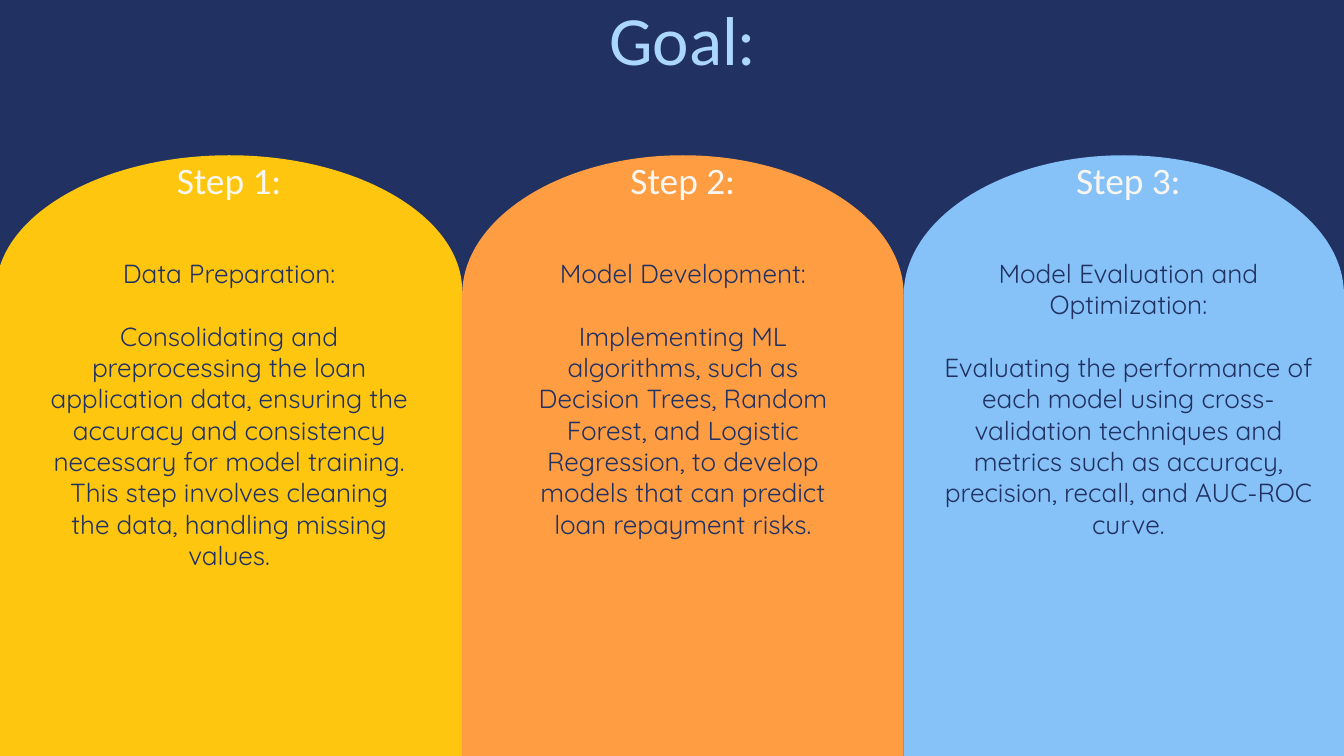
from lxml.etree import Element
from pptx import Presentation
from pptx.dml.color import RGBColor as Color
from pptx.enum.text import PP_ALIGN as Align
from pptx.oxml.ns import qn
from pptx.util import Cm, Pt

COLORS = {
    "navy": "203162",
    "yellow": "FFC610",
    "orange": "FF9D42",
    "sky": "86C2F8",
    "cream": "F8F6F1",
    "pale": "ABD7FF",
}
WIDTH, HEIGHT = 50.8, 28.58
ARCH_TOP = 5.87
ROUNDNESS = 0.55
TITLE = "Goal:"
STEPS = [
    {
        "heading": "Step 1:",
        "body": [
            "Data Preparation:",
            "Consolidating and preprocessing the loan application data, ensuring "
            "the accuracy and consistency necessary for model training.",
            "This step involves cleaning the data, handling missing values.",
        ],
        "color": "yellow", "edges": (-0.15, 17.47), "rise": 5.13,
        "center": 8.66, "body_width": 13.64, "body_height": 12.83,
    },
    {
        "heading": "Step 2:",
        "body": [
            "Model Development:",
            "Implementing ML algorithms, such as Decision Trees, Random Forest, "
            "and Logistic Regression, to develop models that can predict loan "
            "repayment risks.",
        ],
        "color": "orange", "edges": (17.47, 34.16), "rise": 5.28,
        "center": 25.81, "body_width": 11.35, "body_height": 12.83,
    },
    {
        "heading": "Step 3:",
        "body": [
            "Model Evaluation and Optimization:",
            "Evaluating the performance of each model using cross-validation "
            "techniques and metrics such as accuracy, precision, recall, and "
            "AUC-ROC curve.",
        ],
        "color": "sky", "edges": (34.16, 50.8), "rise": 5.28,
        "center": 42.65, "body_width": 14.6, "body_height": 10.52,
    },
]


def color(name):
    return Color.from_string(COLORS[name])


def bend(lines):
    curve = Element(qn("a:cubicBezTo"))
    lines[0].addprevious(curve)
    for line in lines:
        curve.append(line[0])
        line.getparent().remove(line)


def add_arch(slide, left, right, rise, fill):
    middle, reach = (left + right) / 2, (right - left) / 2 * ROUNDNESS
    spring = ARCH_TOP + rise
    shoulder = spring - rise * ROUNDNESS
    outline = [
        (left, spring),
        (left, shoulder), (middle - reach, ARCH_TOP), (middle, ARCH_TOP),
        (middle + reach, ARCH_TOP), (right, shoulder), (right, spring),
        (right, HEIGHT),
    ]
    builder = slide.shapes.build_freeform(Cm(left), Cm(HEIGHT))
    builder.add_line_segments([(Cm(x), Cm(y)) for x, y in outline], close=True)
    arch = builder.convert_to_shape()
    lines = arch.element.xpath(".//a:lnTo")
    bend(lines[1:4])
    bend(lines[4:7])
    arch.shadow.inherit = False
    arch.fill.solid()
    arch.fill.fore_color.rgb = color(fill)
    arch.line.fill.background()


def add_text(slide, lines, center, top, width, height, font, size, ink):
    box = slide.shapes.add_textbox(
        Cm(center - width / 2), Cm(top), Cm(width), Cm(height))
    frame = box.text_frame
    frame.word_wrap = True
    frame.margin_left = frame.margin_right = 0
    frame.margin_top = frame.margin_bottom = 0
    frame.text = "\n".join(lines)
    for index, para in enumerate(frame.paragraphs):
        para.alignment = Align.CENTER
        para.line_spacing = Pt(size * 1.2)
        if index == 1:
            para.space_before = Pt(size * 1.2)
        para.font.name = font
        para.font.size = Pt(size)
        para.font.color.rgb = color(ink)


def main():
    deck = Presentation()
    deck.slide_width, deck.slide_height = Cm(WIDTH), Cm(HEIGHT)
    page = deck.slides.add_slide(deck.slide_layouts[6])
    page.background.fill.solid()
    page.background.fill.fore_color.rgb = color("navy")

    for step in STEPS:
        add_arch(page, *step["edges"], step["rise"], step["color"])
        add_text(page, [step["heading"]], step["center"], 5.94, 9.04, 1.98,
                 "Calibri", 40, "cream")
        add_text(page, step["body"], step["center"], 9.73, step["body_width"],
                 step["body_height"], "Quicksand", 28, "navy")
    add_text(page, [TITLE], 25.81, -0.13, 29.21, 3.71, "Calibri", 74, "pale")
    deck.save("out.pptx")


if __name__ == "__main__":
    main()
